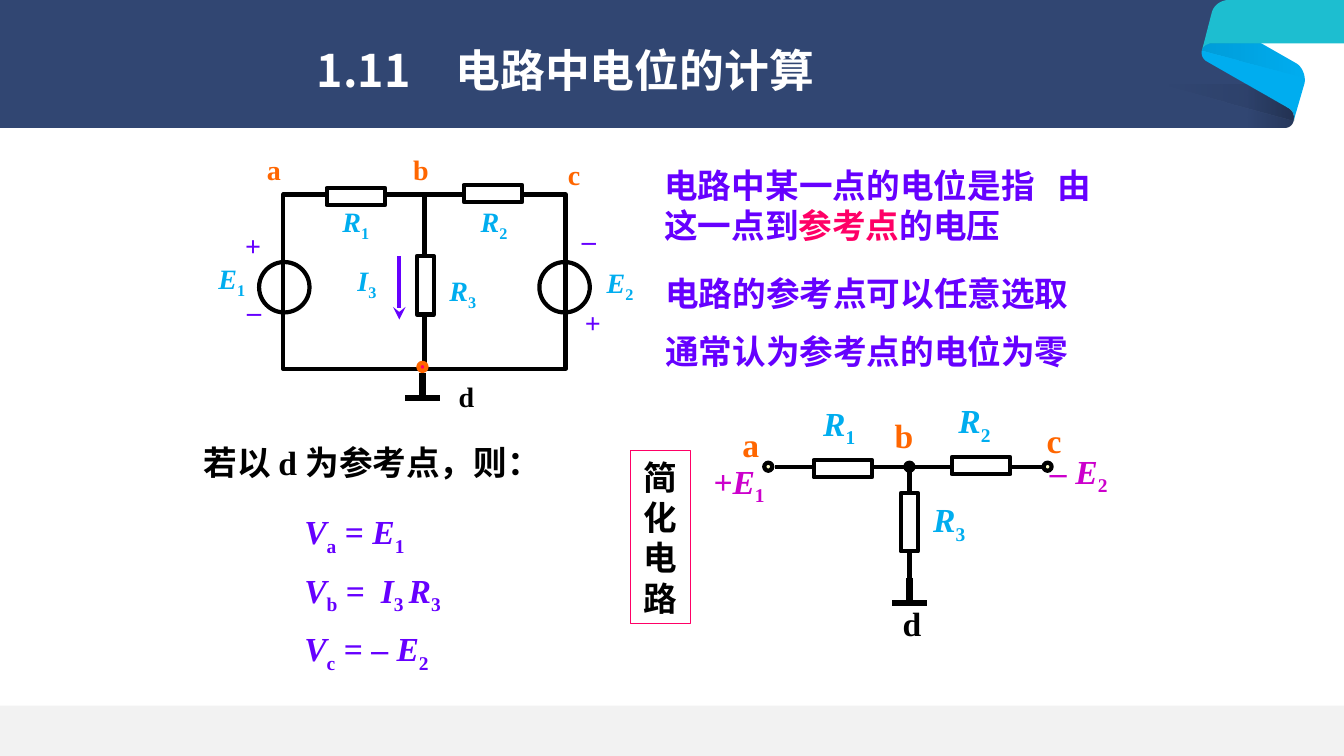
import pptx
import pptx.util
import pptx.dml.color
import pptx.enum.shapes
import pptx.enum.text
import pptx.oxml.ns
from lxml import etree

Inches, Pt = pptx.util.Inches, pptx.util.Pt
RGBColor = pptx.dml.color.RGBColor
PRESET = pptx.enum.shapes.MSO_SHAPE
ALIGN = pptx.enum.text.PP_ALIGN
MIDDLE = pptx.enum.text.MSO_ANCHOR.MIDDLE
qn = pptx.oxml.ns.qn

NAVY = RGBColor(0x31, 0x46, 0x72)
BLUE = RGBColor(0x00, 0xAD, 0xEF)
TEAL = RGBColor(0x1D, 0xBE, 0xD0)
PALE = RGBColor(0xF2, 0xF2, 0xF2)
CREAM = RGBColor(0xFF, 0xFF, 0xCC)
WHITE = RGBColor(0xFF, 0xFF, 0xFF)
BLACK = RGBColor(0x00, 0x00, 0x00)
VIOLET = RGBColor(0x66, 0x00, 0xFF)
MAGENTA = RGBColor(0xCC, 0x00, 0xCC)
PINK = RGBColor(0xFF, 0x00, 0x66)
ORANGE = RGBColor(0xFF, 0x66, 0x00)

HAN, LATIN = "Noto Sans CJK SC", "Times New Roman"
ITALIC = {"italic": True}
SUB = {"baseline": "-25000"}


def symbol(letter, index):
    """Runs of an italic quantity with an upright subscript."""
    return [(letter, ITALIC), (index, SUB)]


def curve_points(start, c1, c2, end, steps=8):
    """Points along a cubic curve, without its start."""
    for i in range(1, steps + 1):
        t = i / steps
        weights = ((1 - t) ** 3, 3 * t * (1 - t) ** 2, 3 * t * t * (1 - t), t ** 3)
        yield tuple(sum(w * p[axis] for w, p in zip(weights, (start, c1, c2, end)))
                    for axis in (0, 1))


class CircuitSlide:
    def __init__(self, slide):
        self.slide = slide
        self.shapes = slide.shapes

    def fill_text(self, frame, lines, size, color, align=ALIGN.LEFT, font=LATIN,
                  wrap=True, tab=None):
        """Fill a frame; each line is a list of (text, format) runs."""
        frame.word_wrap = wrap
        frame.vertical_anchor = MIDDLE
        for number, runs in enumerate(lines):
            paragraph = frame.add_paragraph() if number else frame.paragraphs[0]
            paragraph.alignment = align
            if tab:
                tabs = etree.SubElement(paragraph._p.get_or_add_pPr(), qn("a:tabLst"))
                etree.SubElement(tabs, qn("a:tab"), pos=str(Inches(tab)), algn="l")
            for text, extra in runs:
                run = paragraph.add_run()
                run.text = text
                values = {"name": font, "size": Pt(size), "bold": True,
                          "italic": False, "color": color, **extra}
                for key, value in values.items():
                    if key == "color":
                        run.font.color.rgb = value
                    elif key == "baseline":
                        run.font._element.set(key, value)
                    else:
                        setattr(run.font, key, value)
                etree.SubElement(run.font._element, qn("a:ea"), typeface=HAN)

    def title(self, text, left, top, width, height):
        heading = self.shapes.title
        box = {"left": left, "top": top, "width": width, "height": height}
        for key, value in box.items():
            setattr(heading, key, Inches(value))
        self.fill_text(heading.text_frame, [[(text, {})]], 32, WHITE, font=HAN)
        heading.text_frame.paragraphs[0].line_spacing = 0.9
        self.shapes._spTree.append(heading._element)

    def text(self, left, top, width, runs, color=VIOLET, size=24, height=None, **style):
        box = self.shapes.add_textbox(Inches(left), Inches(top), Inches(width),
                                      Inches(height or (0.5 if size == 24 else 0.44)))
        if isinstance(runs, str):
            runs = [(runs, {})]
        self.fill_text(box.text_frame, [runs], size, color, **style)

    def label(self, left, top, width, runs, color, size=20):
        self.text(left, top, width, runs, color, size, align=ALIGN.CENTER, wrap=False)

    def shape(self, preset, left, top, width, height, fill=None, line=BLACK, weight=3):
        shape = self.shapes.add_shape(preset, *map(Inches, (left, top, width, height)))
        self.paint(shape, fill, line, weight)
        return shape

    def paint(self, shape, fill, line=None, weight=3):
        shape.shadow.inherit = False
        for part, color in ((shape.fill, fill), (shape.line.fill, line)):
            if color is None:
                part.background()
            else:
                part.solid()
                part.fore_color.rgb = color
        if line is not None:
            shape.line.width = Pt(weight)

    def ribbon(self, start, steps, fill=None, alpha=None, angle=180):
        """Outline of points and six-number curves; alpha gives a fading shade."""
        points = [start]
        for step in steps:
            if len(step) == 2:
                points.append(step)
            else:
                points += curve_points(points[-1], step[:2], step[2:4], step[4:])
        emu = [(Inches(x), Inches(y)) for x, y in points]
        builder = self.shapes.build_freeform(*emu[0])
        builder.add_line_segments(emu[1:], close=True)
        shape = builder.convert_to_shape()
        self.paint(shape, fill)
        if alpha:
            shape.fill.gradient()
            shape.fill.gradient_angle = angle
            for stop, opacity in zip(shape.fill.gradient_stops, (alpha, 0)):
                stop.color.rgb = BLACK
                color = stop._gs.find(qn("a:srgbClr"))
                etree.SubElement(color, qn("a:alpha"), val=str(opacity * 1000))

    def wire(self, x1, y1, x2, y2, color=BLACK, weight=3, arrow=False):
        wire = self.shapes.add_connector(pptx.enum.shapes.MSO_CONNECTOR.STRAIGHT,
                                         *map(Inches, (x1, y1, x2, y2)))
        wire.line.color.rgb = color
        wire.line.width = Pt(weight)
        if arrow:
            etree.SubElement(wire.line._get_or_add_ln(), qn("a:tailEnd"), type="stealth")
        etree.SubElement(wire._element.spPr, qn("a:effectLst"))

    def resistor(self, x, y, upright=False):
        """Resistor centred on a point."""
        width, height = (0.17, 0.58) if upright else (0.58, 0.17)
        self.shape(PRESET.RECTANGLE, x - width / 2, y - height / 2, width, height, WHITE)

    def ground(self, x, y):
        self.wire(x - 0.17, y, x + 0.17, y, weight=4.5)
        self.wire(x, y - 0.25, x, y, weight=4.5)

    def node(self, x, y, fill, line=BLACK):
        self.shape(PRESET.OVAL, x - 0.04, y - 0.04, 0.08, 0.08, fill, line)


def draw_ribbons(page):
    page.ribbon((0, 0), [(12.43, 0), (12.43, 0.72), (12.79, 1.08),
                         (12.83, 1.11, 12.84, 1.15, 12.83, 1.2),
                         (12.82, 1.24, 12.79, 1.27, 12.74, 1.27), (0, 1.27)], NAVY)
    page.ribbon((11.97, 0.61), [(12.79, 1.08), (12.83, 1.11, 12.84, 1.15, 12.83, 1.2),
                                (12.94, 0.82), (12.95, 0.74, 12.91, 0.66, 12.86, 0.63),
                                (12.44, 0.39), (12.02, 0.41),
                                (11.97, 0.41, 11.93, 0.46, 11.92, 0.5),
                                (11.91, 0.54, 11.93, 0.59, 11.97, 0.61)], BLUE)
    page.ribbon((11.92, 0.5), [(11.93, 0.46, 11.97, 0.43, 12.02, 0.43), (13.33, 0.43),
                               (13.33, 0), (12.19, 0),
                               (12.11, 0, 12.04, 0.05, 12.02, 0.12), (11.94, 0.43)], TEAL)
    page.ribbon((12.37, 0.84), [(12.37, 1.27), (12.74, 1.27),
                                (12.79, 1.27, 12.82, 1.24, 12.83, 1.2),
                                (12.84, 1.15, 12.83, 1.11, 12.79, 1.08)], alpha=20)
    page.ribbon((11.52, 0.84), [(12.83, 1.2), (12.84, 1.15, 12.83, 1.11, 12.79, 1.08),
                                (12.37, 0.84)], alpha=10)
    page.ribbon((11.92, 0.5), [(12.94, 0.77), (12.94, 0.72, 12.91, 0.66, 12.86, 0.63),
                               (12.5, 0.43), (12.02, 0.43),
                               (11.97, 0.43, 11.93, 0.46, 11.92, 0.5)], alpha=10, angle=0)
    page.shape(PRESET.RECTANGLE, 0, 7, 13.33, 0.5, PALE, None)


def draw_statements(page):
    page.text(6.49, 1.58, 4.43, [("电路中某一点的电位是指\t由这一点到", {}),
                                 ("参考点", {"color": PINK}), ("的电压", {})],
              height=0.91, align=ALIGN.JUSTIFY, tab=3.89)
    page.text(6.5, 2.66, 4.75, "电路的参考点可以任意选取")
    page.text(6.5, 3.23, 4.75, "通常认为参考点的电位为零")
    page.text(1.92, 4.33, 3.83, "若以 d 为参考点，则：", BLACK)
    potentials = [("a", [(" = ", {})] + symbol("E", "1")),
                  ("b", [(" =\t", {})] + symbol("I", "3 ") + symbol("R", "3")),
                  ("c", [(" = – ", {})] + symbol("E", "2"))]
    for row, (point, value) in enumerate(potentials):
        page.text(2.92, 5.05 + 0.58 * row, 1.7, symbol("V", point) + value,
                  tab=0.76 if point == "b" else None)
    caption = page.shape(PRESET.RECTANGLE, 6.25, 4.47, 0.6, 1.72, None, PINK, 0.75)
    page.fill_text(caption.text_frame, [[(character, {})] for character in "简化电路"],
                   24, BLACK, ALIGN.CENTER)


def draw_full_circuit(page):
    for left in (2.81, 4.21):
        page.shape(PRESET.RECTANGLE, left, 1.93, 1.4, 1.73)
    for left in (2.57, 5.35):
        page.shape(PRESET.OVAL, left, 2.6, 0.5, 0.5)
    for x, y, upright in ((3.53, 1.95, False), (4.89, 1.92, False), (4.22, 2.83, True)):
        page.resistor(x, y, upright)
    page.wire(3.96, 2.54, 3.96, 3.17, VIOLET, arrow=True)
    for letter, index, left, top in (("R", "1", 3.29, 2), ("R", "2", 4.66, 2),
                                     ("R", "3", 4.35, 2.68), ("E", "1", 2.06, 2.56),
                                     ("E", "2", 5.91, 2.6), ("I", "3", 3.4, 2.58)):
        page.label(left, top, 0.48, symbol(letter, index), BLUE)
    for sign, left, top in (("+", 2.33, 2.21), ("_", 2.34, 2.77),
                            ("+", 5.7, 2.98), ("_", 5.66, 2.06)):
        page.label(left, top, 0.36, sign, VIOLET)
    for point, left, top, color in (("a", 2.54, 1.46, ORANGE), ("b", 4, 1.46, ORANGE),
                                    ("c", 5.52, 1.51, ORANGE), ("d", 4.45, 3.71, BLACK)):
        page.label(left, top, 0.35, point, color)
    page.ground(4.19, 3.95)
    page.node(4.19, 3.64, PINK, ORANGE)


def draw_simple_circuit(page):
    page.label(6.97, 4.55, 0.72, symbol("+E", "1"), MAGENTA, 24)
    page.label(10.31, 4.45, 0.78, symbol("– E", "2"), MAGENTA, 24)
    for point, left, top, color in (("a", 7.25, 4.16, ORANGE), ("b", 8.77, 4.07, ORANGE),
                                    ("c", 10.26, 4.12, ORANGE), ("d", 8.85, 5.93, BLACK)):
        page.label(left, top, 0.39, point, color, 24)
    for index, left, top in (("1", 8.06, 3.97), ("2", 9.4, 3.95), ("3", 9.15, 4.93)):
        page.label(left, top, 0.53, symbol("R", index), BLUE, 24)
    page.wire(7.69, 4.63, 10.35, 4.63)
    page.wire(9.02, 4.63, 9.02, 5.79)
    for x, fill in ((7.62, CREAM), (9.02, BLACK), (10.39, CREAM)):
        page.node(x, 4.63, fill)
    for x, y, upright in ((8.36, 4.65, False), (9.73, 4.62, False), (9.02, 5.18, True)):
        page.resistor(x, y, upright)
    page.ground(9.02, 5.98)


def main():
    deck = pptx.Presentation()
    deck.slide_width, deck.slide_height = Inches(13.33), Inches(7.5)
    page = CircuitSlide(deck.slides.add_slide(deck.slide_layouts[5]))
    draw_ribbons(page)
    page.title("1.11　电路中电位的计算", 3.04, 0.36, 9, 0.73)
    draw_statements(page)
    draw_full_circuit(page)
    draw_simple_circuit(page)
    deck.save("out.pptx")


if __name__ == "__main__":
    main()
